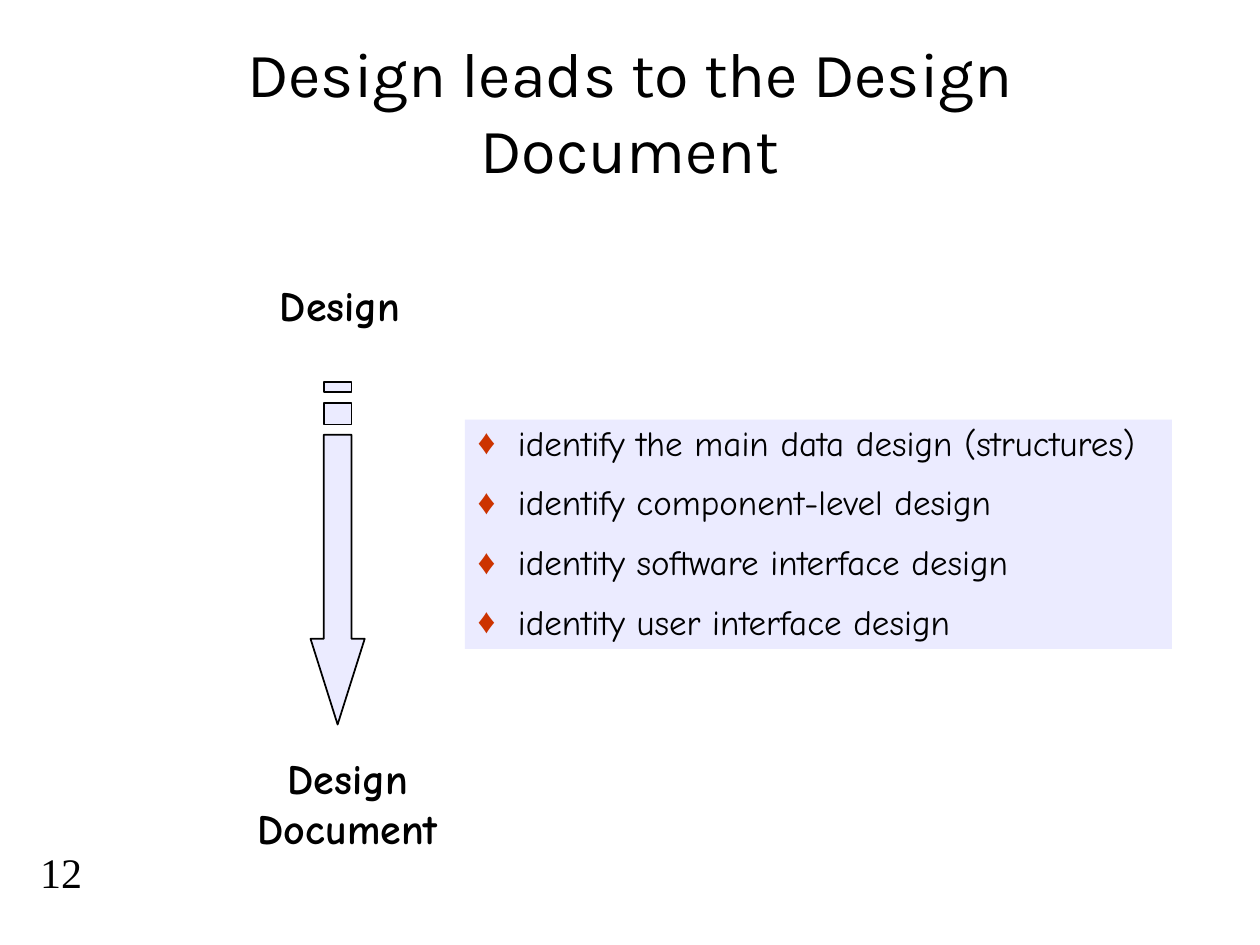
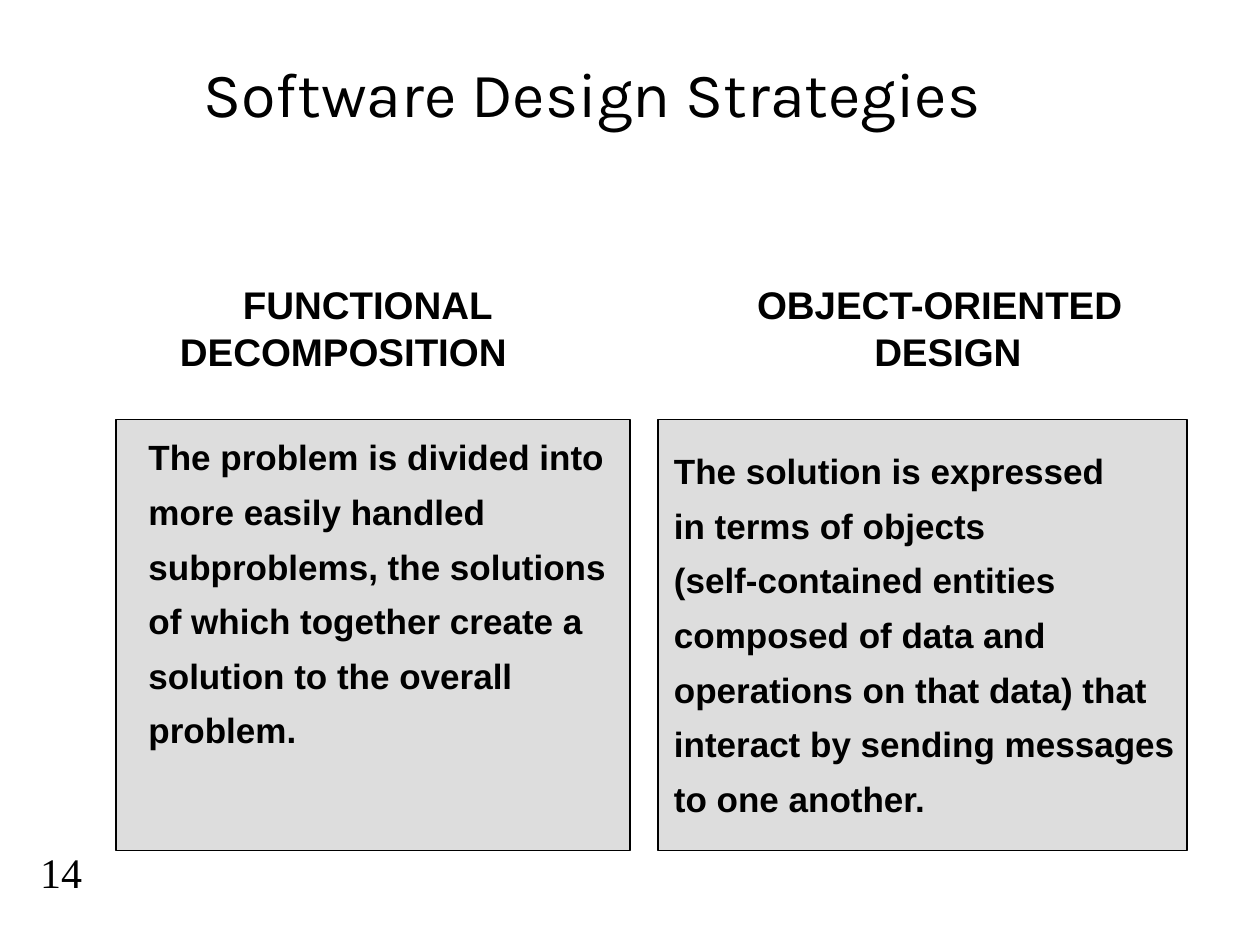
from dataclasses import dataclass

import pptx
import pptx.dml.color
import pptx.enum.shapes
import pptx.enum.text
import pptx.oxml
import pptx.oxml.ns
import pptx.util

Inches = pptx.util.Inches
Pt = pptx.util.Pt
Align = pptx.enum.text.PP_ALIGN
Anchor = pptx.enum.text.MSO_ANCHOR


@dataclass(frozen=True)
class Theme:
    ink: str = "000000"
    paper: str = "FFFFFF"
    lavender: str = "EBEBFF"
    grey: str = "DDDDDD"
    bullet: str = "CC3300"
    title_font: str = "Karla"
    hand_font: str = "Comic Neue"
    plain_font: str = "Arial"
    number_font: str = "Times New Roman"
    title_size: int = 36
    label_size: int = 24
    heading_size: int = 22
    text_size: int = 20
    line_width: int = 1


def rgb(colour):
    return pptx.dml.color.RGBColor.from_string(colour)


def place(box, left, top, width, height):
    box.left, box.top = Inches(left), Inches(top)
    box.width, box.height = Inches(width), Inches(height)


def add_property(para, tag, content="", **attributes):
    """Append a DrawingML element to the paragraph properties."""
    listed = " ".join(f'{key}="{value}"' for key, value in attributes.items())
    namespace = pptx.oxml.ns.nsdecls("a")
    para._p.get_or_add_pPr().append(
        pptx.oxml.parse_xml(f"<a:{tag} {namespace} {listed}>{content}</a:{tag}>"))


class SlideBuilder:
    def __init__(self, deck, theme):
        self.deck = deck
        self.theme = theme
        self.page = None

    def start(self, layout, number):
        self.page = self.deck.slides.add_slide(self.deck.slide_layouts.get_by_name(layout))
        self.text(str(number), (0, 6.67, 0.75, 0.5), self.theme.number_font,
                  self.theme.label_size, align=Align.RIGHT)

    def set_text(self, box, text, font, size, bold=False, align=Align.LEFT,
                 anchor=Anchor.TOP, line_spacing=1.0, space_before=0):
        frame = box.text_frame
        frame.text = text
        frame.word_wrap = True
        frame.auto_size = pptx.enum.text.MSO_AUTO_SIZE.NONE
        frame.vertical_anchor = anchor
        for para in frame.paragraphs:
            para.alignment = align
            para.line_spacing = line_spacing
            para.space_before = Pt(space_before)
            for span in para.runs:
                span.font.name = font
                span.font.size = Pt(size)
                span.font.bold = bold
                span.font.color.rgb = rgb(self.theme.ink)
        return box

    def title(self, text, area, anchor=Anchor.MIDDLE):
        box = self.page.shapes.title
        place(box, *area)
        return self.set_text(box, text, self.theme.title_font, self.theme.title_size,
                             align=Align.CENTER, anchor=anchor)

    def text(self, text, area, font, size, **style):
        box = self.page.shapes.add_textbox(*map(Inches, area))
        return self.set_text(box, text, font, size, **style)

    def label(self, text, area):
        return self.text(text, area, self.theme.hand_font, self.theme.label_size,
                         bold=True, align=Align.CENTER, space_before=15)

    def bullets(self, items, area, hanging=0.32):
        box = self.page.placeholders[1]
        place(box, *area)
        self.fill(box, self.theme.lavender)
        self.set_text(box, "\n".join(items), self.theme.hand_font, self.theme.text_size,
                      line_spacing=0.9, space_before=12.5)
        for para in box.text_frame.paragraphs:
            properties = para._p.get_or_add_pPr()
            properties.set("marL", str(Inches(hanging)))
            properties.set("indent", str(-Inches(hanging)))
            add_property(para, "buClr", f'<a:srgbClr val="{self.theme.bullet}"/>')
            add_property(para, "buFont", typeface=self.theme.plain_font)
            add_property(para, "buChar", char="♦")

    def headings(self, rows, area):
        """Set rows of headings, each heading at its own tab stop."""
        box = self.text("\n".join("".join("\t" + word for word, _ in row) for row in rows),
                        area, self.theme.plain_font, self.theme.heading_size,
                        bold=True, line_spacing=Pt(27))
        for para, row in zip(box.text_frame.paragraphs, rows):
            stops = "".join(f'<a:tab pos="{Inches(stop)}" algn="l"/>' for _, stop in row)
            add_property(para, "tabLst", stops)

    def fill(self, box, colour):
        box.fill.solid()
        box.fill.fore_color.rgb = rgb(colour)

    def outline(self, box, colour):
        box.shadow.inherit = False
        self.fill(box, colour)
        box.line.color.rgb = rgb(self.theme.ink)
        box.line.width = Pt(self.theme.line_width)

    def panel(self, area):
        box = self.page.shapes.add_shape(pptx.enum.shapes.MSO_SHAPE.RECTANGLE,
                                         *map(Inches, area))
        self.outline(box, self.theme.grey)

    def striped_arrow(self, centre, stripes, shaft_top, head_top, tip):
        shaft, head = 0.11, 0.215
        left, right = centre - shaft, centre + shaft
        contours = [[(left, top), (right, top), (right, bottom), (left, bottom)]
                    for top, bottom in stripes]
        contours.append([(left, shaft_top), (right, shaft_top), (right, head_top),
                         (centre + head, head_top), (centre, tip),
                         (centre - head, head_top), (left, head_top)])
        builder = None
        for contour in contours:
            first, *others = [(Inches(x), Inches(y)) for x, y in contour]
            if builder is None:
                builder = self.page.shapes.build_freeform(*first)
            else:
                builder.move_to(*first)
            builder.add_line_segments(others, close=True)
        self.outline(builder.convert_to_shape(), self.theme.lavender)


def design_document_slide(slide):
    slide.start("Title and Content", 12)
    slide.title("Design leads to the Design Document", (0.75, 0.25, 8.5, 1.25))
    slide.striped_arrow(2.68, [(3.03, 3.11), (3.2, 3.37)], 3.45, 5.07, 5.75)
    slide.label("Design", (1.69, 2.17, 2.02, 0.5))
    document = slide.label("Design Document", (1.75, 5.92, 2.02, 0.9))
    slide.fill(document, slide.theme.paper)
    slide.bullets(["identify the main data design (structures)",
                   "identify component-level design",
                   "identity software interface design",
                   "identity user interface design"], (3.69, 3.33, 5.61, 1.82))


def strategies_slide(slide):
    slide.start("Title Only", 14)
    title = slide.title("Software Design Strategies", (1.23, 0.25, 7.77, 0.83),
                        Anchor.BOTTOM)
    title.text_frame.margin_right = Inches(0.93)
    slide.headings([[("FUNCTIONAL", 1.08), ("OBJECT-ORIENTED", 5.16)],
                    [("DECOMPOSITION", 0.58), ("DESIGN", 6.09)]],
                   (0.75, 2.17, 8.31, 0.87))
    strategies = [
        ((0.92, 4.08), (1.08, 3.31, 3.86, 3.14),
         ["The problem is divided into", "more easily handled",
          "subproblems, the solutions", "of which together create a",
          "solution to the overall", "problem."]),
        ((5.22, 4.2), (5.25, 3.42, 4.25, 3.14),
         ["The solution is expressed", "in terms of objects",
          "(self-contained entities", "composed of data and",
          "operations on that data) that", "interact by sending messages",
          "to one another."]),
    ]
    for (left, width), text_area, lines in strategies:
        slide.panel((left, 3.33, width, 3.42))
        slide.text("\n".join(lines), text_area, slide.theme.plain_font,
                   slide.theme.text_size, bold=True, line_spacing=1.3)


def main():
    deck = pptx.Presentation()
    deck.slide_width, deck.slide_height = Inches(10), Inches(7.5)
    slide = SlideBuilder(deck, Theme())
    design_document_slide(slide)
    strategies_slide(slide)
    deck.save("out.pptx")


if __name__ == "__main__":
    main()
